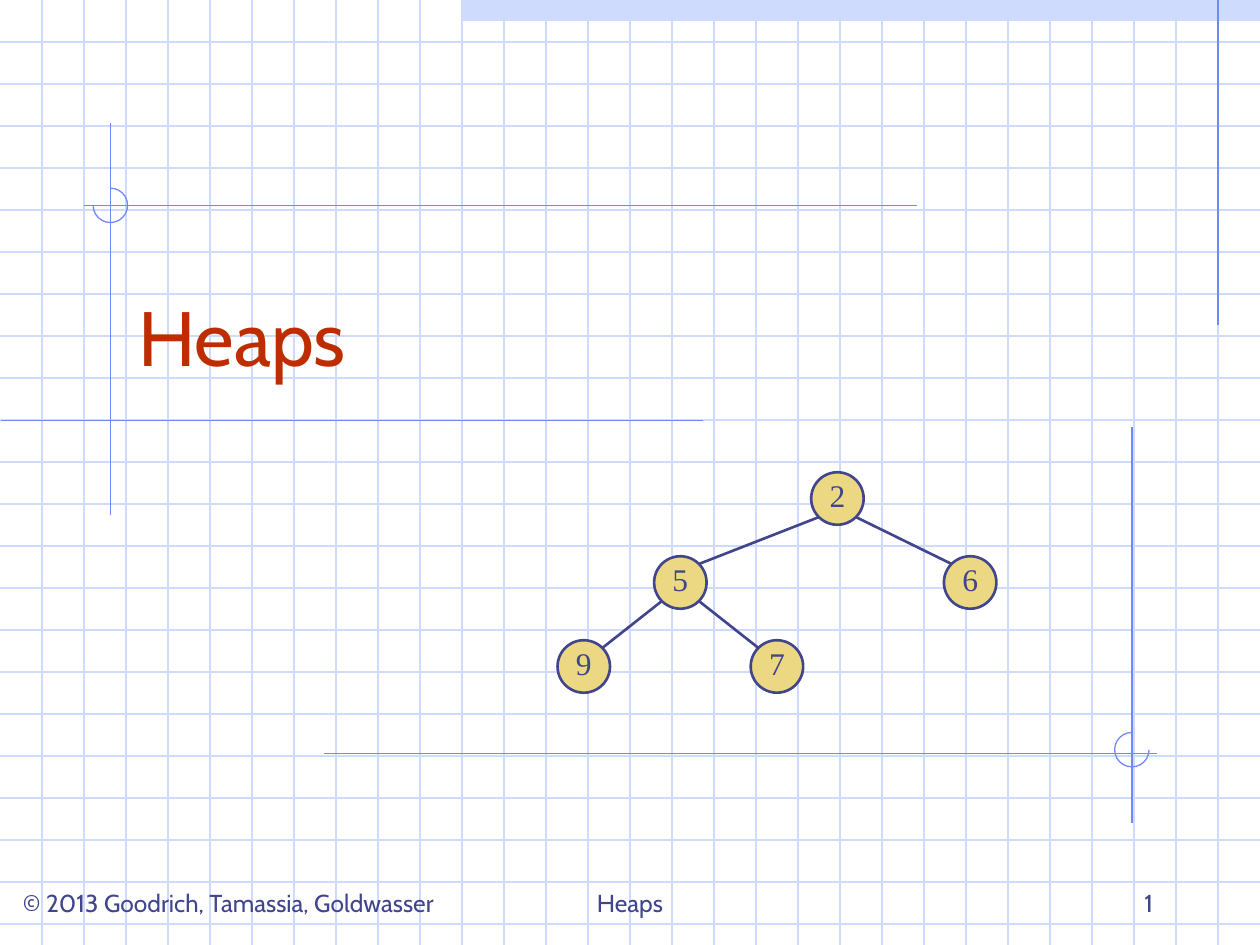
"""Build the Heaps title slide: graph-paper background, title, small heap and footer."""
from math import sqrt

from lxml import etree
from pptx import Presentation
from pptx import util as u
from pptx.dml.color import RGBColor
from pptx.enum import shapes, text
from pptx.oxml import ns


class Theme:
    grid = RGBColor.from_string("CFDBFD")
    accent = RGBColor.from_string("6F89F7")
    ink = RGBColor.from_string("40458C")
    title = RGBColor.from_string("BE2D00")
    node = RGBColor.from_string("ECD882")
    sans, serif = "Cabin", "Times New Roman"
    title_size, node_size, footer_size = 44, 18, 14
    thin, thick = 0.75, 1.5


COLUMNS, ROWS = 30, 22.5
CELL = u.Inches(10) / COLUMNS
NODE_SIZE, ARC_SIZE = 1.25, 0.82

HEADER_BAND = (11, 0, 19, 0.5)
ACCENT_LINES = [
    (29, 0, 29, 7.75),
    (2.63, 2.92, 2.63, 12.27),
    (16.74, 10.02, 0.03, 10.02),
    (21.84, 4.89, 2, 4.89),
    (7.71, 17.94, 27.54, 17.94),
    (26.95, 10.17, 26.95, 19.59),
]
ACCENT_ARCS = [((2.63, 4.89), 270, 180), ((26.95, 17.85), 0, 270)]
NODES = {
    "2": (19.94, 11.87),
    "6": (23.1, 13.87),
    "5": (16.2, 13.87),
    "7": (18.5, 15.87),
    "9": (13.9, 15.87),
}
EDGES = [("2", "5"), ("2", "6"), ("5", "9"), ("5", "7")]
ALIGN = text.PP_ALIGN
TITLE = ("Heaps", (3, 5.5, 25.5, 3.75), ALIGN.LEFT)
FOOTERS = [
    ("© 2013 Goodrich, Tamassia, Goldwasser", (0.25, 20.5, 12.25, 1.5), ALIGN.LEFT),
    ("Heaps", (10.25, 20.5, 9.5, 1.5), ALIGN.CENTER),
    ("1", (21.5, 20.5, 6.25, 1.5), ALIGN.RIGHT),
]


def cells(*values):
    return [u.Emu(round(value * CELL)) for value in values]


def square(center, size):
    return center[0] - size / 2, center[1] - size / 2, size, size


def add_line(slide, ends, color, width):
    line = slide.shapes.add_connector(shapes.MSO_CONNECTOR.STRAIGHT, *cells(*ends))
    line.line.color.rgb = color
    line.line.width = u.Pt(width)
    etree.SubElement(line._element.spPr, ns.qn("a:effectLst"))


def add_shape(slide, kind, box, fill=None, color=None, width=Theme.thin):
    shape = slide.shapes.add_shape(kind, *cells(*box))
    shape.shadow.inherit = False
    if fill is None:
        shape.fill.background()
    else:
        shape.fill.solid()
        shape.fill.fore_color.rgb = fill
    if color is None:
        shape.line.fill.background()
    else:
        shape.line.color.rgb = color
        shape.line.width = u.Pt(width)
    return shape


def write(shape, words, align, name, size, color):
    paragraph = shape.text_frame.paragraphs[0]
    paragraph.text = words
    paragraph.alignment = align
    paragraph.font.name = name
    paragraph.font.size = u.Pt(size)
    paragraph.font.color.rgb = color


def add_label(slide, label, size, color):
    words, box, align = label
    shape = slide.shapes.add_textbox(*cells(*box))
    shape.text_frame.word_wrap = True
    shape.text_frame.vertical_anchor = text.MSO_ANCHOR.BOTTOM
    write(shape, words, align, Theme.sans, size, color)


def add_background(slide):
    add_shape(slide, shapes.MSO_SHAPE.RECTANGLE, HEADER_BAND, Theme.grid)
    rows = [(0, row, COLUMNS, row) for row in range(1, int(ROWS) + 1)]
    columns = [(column, 0, column, ROWS) for column in range(1, COLUMNS)]
    for ends in rows + columns:
        add_line(slide, ends, Theme.grid, Theme.thin)
    for ends in ACCENT_LINES:
        add_line(slide, ends, Theme.accent, Theme.thin)
    for center, start, end in ACCENT_ARCS:
        arc = add_shape(slide, shapes.MSO_SHAPE.ARC, square(center, ARC_SIZE), color=Theme.accent)
        arc.adjustments[0] = start * 0.6
        arc.adjustments[1] = end * 0.6


def add_heap(slide):
    reach = NODE_SIZE / 2 / sqrt(2)
    for value, center in NODES.items():
        node = add_shape(slide, shapes.MSO_SHAPE.OVAL, square(center, NODE_SIZE),
                         Theme.node, Theme.ink, Theme.thick)
        frame = node.text_frame
        frame.word_wrap = False
        frame.vertical_anchor = text.MSO_ANCHOR.MIDDLE
        frame.margin_left = frame.margin_right = frame.margin_top = 0
        frame.margin_bottom = u.Inches(0.05)
        write(node, value, ALIGN.CENTER, Theme.serif, Theme.node_size, Theme.ink)
    for parent, child in EDGES:
        (x1, y1), (x2, y2) = NODES[parent], NODES[child]
        shift = reach if x2 > x1 else -reach
        add_line(slide, (x1 + shift, y1 + reach, x2 - shift, y2 - reach), Theme.ink, Theme.thick)


def main():
    presentation = Presentation()
    presentation.slide_width, presentation.slide_height = cells(COLUMNS, ROWS)
    slide = presentation.slides.add_slide(presentation.slide_layouts[6])
    add_background(slide)
    add_label(slide, TITLE, Theme.title_size, Theme.title)
    add_heap(slide)
    for footer in FOOTERS:
        add_label(slide, footer, Theme.footer_size, Theme.ink)
    presentation.save("out.pptx")


if __name__ == "__main__":
    main()
